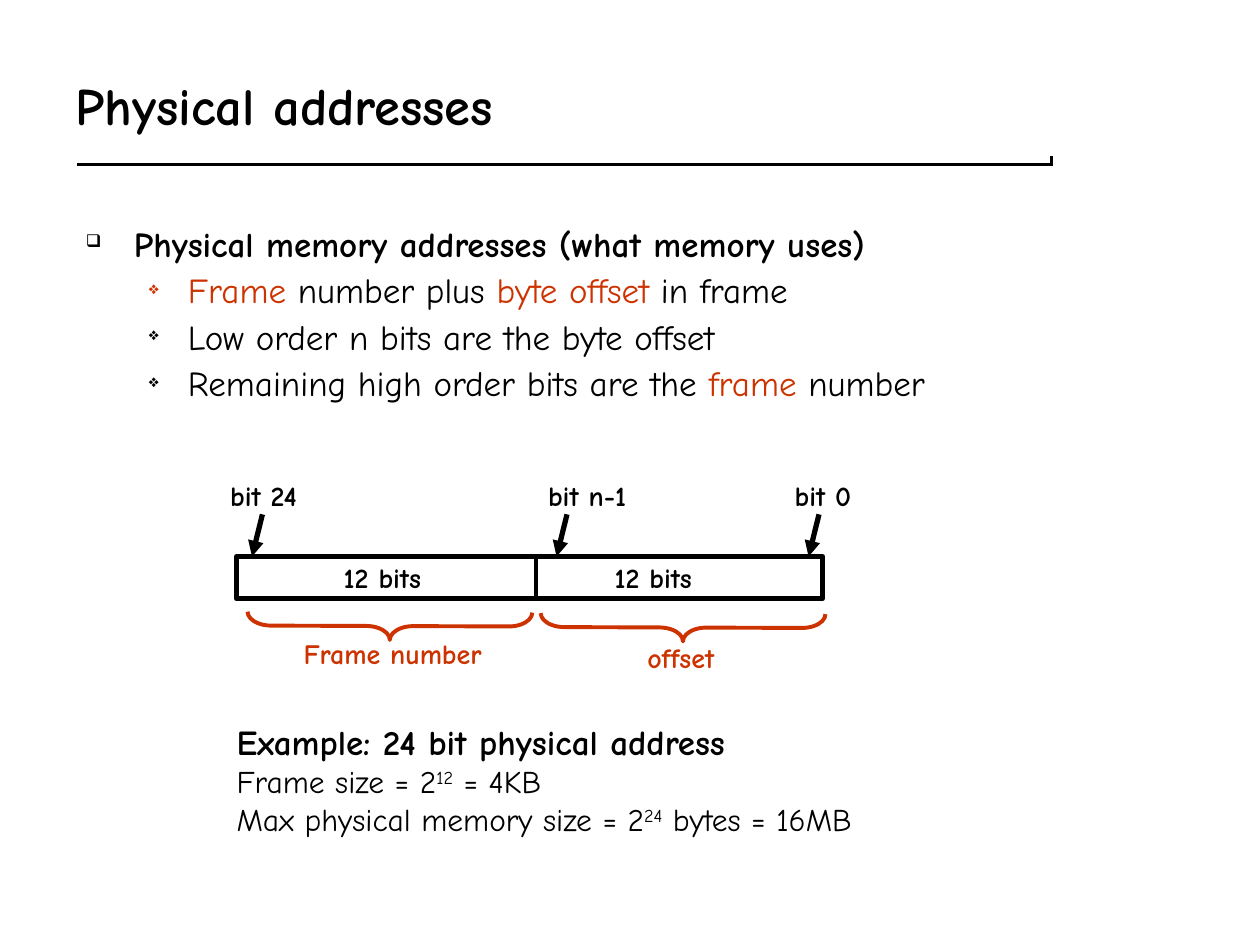
from dataclasses import dataclass

from lxml.etree import SubElement
from pptx import Presentation
from pptx.dml.color import RGBColor
from pptx.enum.shapes import MSO_CONNECTOR, MSO_SHAPE
from pptx.enum.text import MSO_ANCHOR, MSO_AUTO_SIZE
from pptx.oxml.ns import qn
from pptx.util import Cm, Pt


@dataclass(frozen=True)
class Theme:
    font: str = "Comic Neue"
    ink: RGBColor = RGBColor(0x00, 0x00, 0x00)
    paper: RGBColor = RGBColor(0xFF, 0xFF, 0xFF)
    accent: RGBColor = RGBColor(0xCC, 0x33, 0x00)
    title: int = 30
    body: int = 20
    detail: int = 18
    label: int = 16
    rule: float = 6
    stroke: float = 3
    thin: float = 2.25


THEME = Theme()


def add_box(page, left, top, width, height, wrap=True):
    box = page.shapes.add_textbox(Cm(left), Cm(top), Cm(width), Cm(height))
    frame = box.text_frame
    frame.word_wrap = wrap
    frame.auto_size = MSO_AUTO_SIZE.NONE if wrap else MSO_AUTO_SIZE.SHAPE_TO_FIT_TEXT
    return frame


def write(para, spans, size, bold=False, color=THEME.ink):
    para.font.name = THEME.font
    para.font.size = Pt(size)
    para.font.bold = bold
    if not any(kind == "accent" for _, kind in spans):
        para.font.color.rgb = color
    for text, kind in spans:
        span = para.add_run()
        span.text = text
        if kind == "super":
            span.font._element.set("baseline", "30000")
        elif para.font.color.type is None:
            span.font.color.rgb = THEME.accent if kind == "accent" else color


def add_bullet(para, mark, color, margin, hanging):
    properties = para._p.get_or_add_pPr()
    properties.set("marL", str(Cm(margin)))
    properties.set("indent", str(-Cm(hanging)))
    bullet_color = SubElement(properties, qn("a:buClr"))
    SubElement(bullet_color, qn("a:srgbClr"), val=str(color))
    SubElement(properties, qn("a:buSzPct"), val="50000")
    SubElement(properties, qn("a:buChar"), char=mark)


def add_title(page, text):
    frame = add_box(page, 1.27, 0.84, 21.79, 2.54)
    frame.vertical_anchor = MSO_ANCHOR.MIDDLE
    write(frame.paragraphs[0], [(text, "")], THEME.title, bold=True)


def add_bullets(page, heading, points):
    frame = add_box(page, 1.48, 4.45, 21.59, 12.5)
    para = frame.paragraphs[0]
    para.line_spacing = 0.9
    add_bullet(para, "❑", THEME.ink, 0.97, 0.97)
    write(para, [(heading, "")], THEME.body, bold=True)
    for spans in points:
        para = frame.add_paragraph()
        para.level = 1
        para.line_spacing = 0.9
        para.space_before = Pt(5)
        color = THEME.accent if spans[0][1] == "accent" else THEME.ink
        add_bullet(para, "❖", color, 2.06, 0.79)
        write(para, spans, THEME.body)


def add_label(page, text, left, top, width, color=THEME.ink):
    frame = add_box(page, left, top, width, 0.94, wrap=False)
    write(frame.paragraphs[0], [(text, "")], THEME.label, bold=True, color=color)


def add_line(page, start, end, width, color=THEME.ink, arrow=False):
    ends = [Cm(value) for value in (*start, *end)]
    line = page.shapes.add_connector(MSO_CONNECTOR.STRAIGHT, *ends)
    line.line.color.rgb = color
    line.line.width = Pt(width)
    if arrow:
        SubElement(line.line._get_or_add_ln(), qn("a:tailEnd"), type="triangle")
    SubElement(line._element.spPr, qn("a:effectLst"))


def add_outline(page, preset, left, top, width, height, color, stroke):
    shape = page.shapes.add_shape(preset, Cm(left), Cm(top), Cm(width), Cm(height))
    shape.shadow.inherit = False
    shape.fill.background()
    shape.line.color.rgb = color
    shape.line.width = Pt(stroke)
    return shape


def add_brace(page, center_x, center_y):
    depth, span = 0.56, 5.74
    brace = add_outline(page, MSO_SHAPE.LEFT_BRACE, center_x - depth / 2,
                        center_y - span / 2, depth, span, THEME.accent, THEME.thin)
    brace.adjustments[0] = 0.85
    brace.rotation = 270.2


def add_address_bar(page):
    top, height = 11.22, 0.85
    add_outline(page, MSO_SHAPE.RECTANGLE, 4.77, top, 11.81, height, THEME.ink, THEME.stroke)
    add_line(page, (10.8, top), (10.8, top + height), THEME.thin)
    for text, left, width, tip in (
        ("bit 24", 4.39, 1.85, 5.08),
        ("bit n-1", 10.8, 2.08, 11.22),
        ("bit 0", 15.77, 1.65, 16.3),
    ):
        add_label(page, text, left, 9.53, width)
        add_line(page, (tip + 0.21, 10.37), (tip, top), THEME.stroke, arrow=True)
    for left in (6.68, 12.14):
        add_label(page, "12 bits", left, 11.18, 2.06)
    for text, left, label_top, width, center_x, center_y in (
        ("Frame number", 5.87, 12.7, 4.11, 7.86, 12.62),
        ("offset", 12.8, 12.78, 1.85, 13.77, 12.65),
    ):
        add_brace(page, center_x, center_y)
        add_label(page, text, left, label_top, width, THEME.accent)


def add_example(page, heading, details):
    frame = add_box(page, 4.52, 14.4, 12.95, 2.64, wrap=False)
    write(frame.paragraphs[0], [(heading, "")], THEME.body, bold=True)
    for spans in details:
        write(frame.add_paragraph(), spans, THEME.detail)


def main():
    deck = Presentation()
    deck.slide_width, deck.slide_height = Cm(25.4), Cm(19.05)
    page = deck.slides.add_slide(deck.slide_layouts[6])
    add_line(page, (1.55, 3.25), (21.23, 3.25), THEME.rule)
    add_line(page, (1.47, 3.18), (21.16, 3.18), THEME.rule, THEME.paper)
    add_title(page, "Physical addresses")
    add_bullets(page, "Physical memory addresses (what memory uses)", [
        [("Frame", "accent"), (" number plus ", ""), ("byte offset", "accent"), (" in frame", "")],
        [("Low order n bits are the byte offset", "")],
        [("Remaining high order bits are the ", ""), ("frame", "accent"), (" number", "")],
    ])
    add_address_bar(page)
    add_example(page, "Example: 24 bit physical address", [
        [("Frame size = 2", ""), ("12", "super"), (" = 4KB", "")],
        [("Max physical memory size = 2", ""), ("24", "super"), (" bytes = 16MB", "")],
    ])
    deck.save("out.pptx")


if __name__ == "__main__":
    main()
